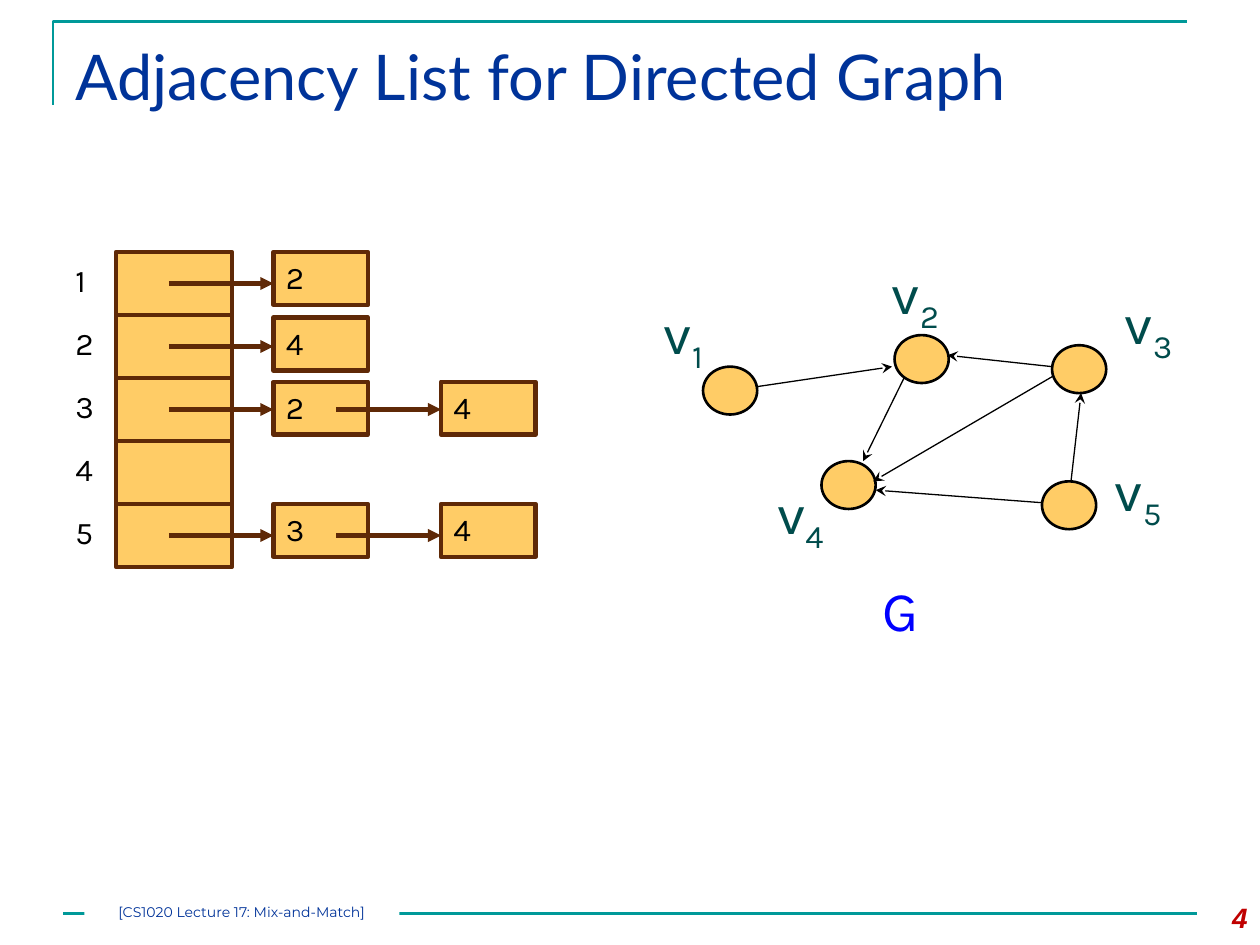
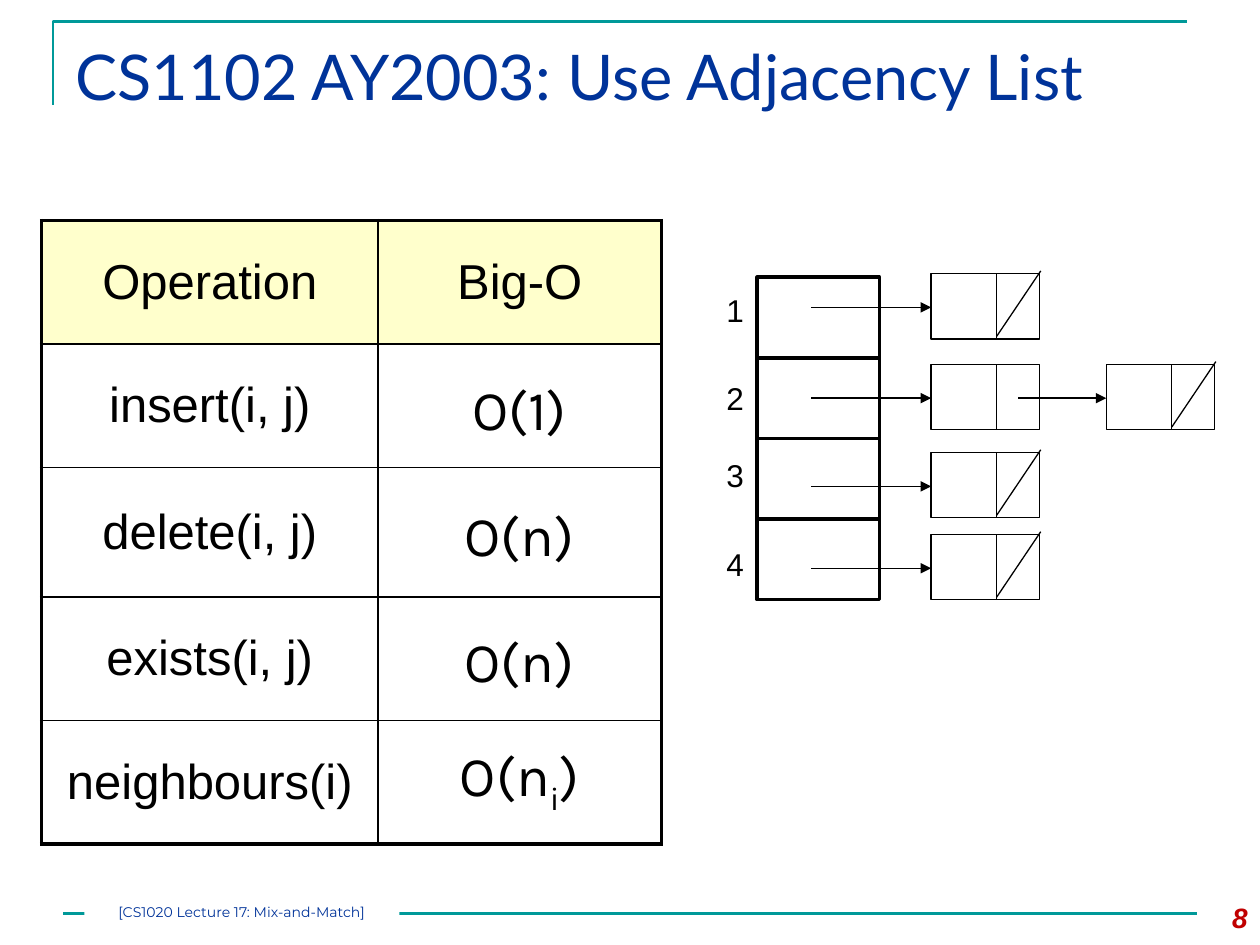
from lxml import etree
from pptx import Presentation
from pptx import util as u
from pptx.dml.color import RGBColor
from pptx.enum import shapes, text
from pptx.oxml.ns import qn

COLORS = {
    "teal": "009999", "navy": "003399", "red": "C00000", "white": "FFFFFF",
    "black": "000000", "amber": "FFCC66", "brown": "5F2907",
    "vertex": "004C4C", "blue": "0000FF", "cream": "FFFFCC",
}
FOOTER = "[CS1020 Lecture 17: Mix-and-Match]"
LEFT, CENTER, RIGHT = text.PP_ALIGN.LEFT, text.PP_ALIGN.CENTER, text.PP_ALIGN.RIGHT
RECTANGLE, OVAL = shapes.MSO_SHAPE.RECTANGLE, shapes.MSO_SHAPE.OVAL


def color(name):
    return RGBColor.from_string(COLORS[name])


def inches(*lengths):
    return [u.Inches(length) for length in lengths]


# Basic elements, measured in inches
def set_line(shape, name, width):
    shape.line.color.rgb = color(name)
    shape.line.width = u.Pt(width)


def add_box(slide, kind, place, fill=None, line=None, width=1.0):
    shape = slide.shapes.add_shape(kind, *inches(*place))
    shape.shadow.inherit = False
    if fill:
        shape.fill.solid()
        shape.fill.fore_color.rgb = color(fill)
    else:
        shape.fill.background()
    if line:
        set_line(shape, line, width)
    else:
        shape.line.fill.background()
    return shape


def add_line(slide, start, end, name="black", width=0.75, arrow=None):
    connector = slide.shapes.add_connector(
        shapes.MSO_CONNECTOR.STRAIGHT, *inches(*start, *end))
    set_line(connector, name, width)
    properties = connector._element.spPr
    etree.SubElement(properties, qn("a:effectLst"))
    if arrow:
        etree.SubElement(properties.find(qn("a:ln")), qn("a:tailEnd"), type=arrow)


def write(frame, wording, size, font, name, align=LEFT):
    """Write one paragraph; wording is a string or a list of (text, is_subscript)."""
    paragraph = frame.paragraphs[0]
    paragraph.alignment = align
    paragraph.font.size = u.Pt(size)
    paragraph.font.name = font
    paragraph.font.color.rgb = color(name)
    pieces = [(wording, False)] if isinstance(wording, str) else wording
    for piece, is_subscript in pieces:
        run = paragraph.add_run()
        run.text = piece
        if is_subscript:
            run._r.get_or_add_rPr().set("baseline", "-25000")
    return paragraph


def add_text(slide, place, wording, size, font, name, align=LEFT, wrap=True):
    frame = slide.shapes.add_textbox(*inches(*place)).text_frame
    frame.word_wrap = wrap
    return write(frame, wording, size, font, name, align)


# Frame shared by both slides
def add_slide(presentation, title, number):
    slide = presentation.slides.add_slide(presentation.slide_layouts[6])
    builder = slide.shapes.build_freeform(*inches(0.42, 0.83))
    builder.add_line_segments(
        [inches(0.42, 0.17), inches(9.42, 0.17)], close=False)
    corner = builder.convert_to_shape()
    corner.shadow.inherit = False
    corner.fill.background()
    set_line(corner, "teal", 1.5)

    add_line(slide, (0.5, 7.25), (9.5, 7.25), "teal", 1.5)
    add_text(slide, (0.5, 0.25, 9, 0.86), title, 36, "Lato", "navy")
    page = add_text(slide, (9.33, 7.1, 0.67, 0.4), number, 16, "Arial", "red", RIGHT)
    page.font.bold = page.font.italic = True

    footer = add_box(slide, RECTANGLE, (0.67, 7.17, 2.5, 0.17), fill="white").text_frame
    footer.margin_left = footer.margin_right = 0
    footer.margin_top = footer.margin_bottom = 0
    footer.vertical_anchor = text.MSO_ANCHOR.TOP
    write(footer, FOOTER, 8, "Montserrat", "navy", CENTER)
    return slide


# Directed graph
def add_graph(slide):
    vertices = {  # number: (circle corner, label corner)
        1: ((5.58, 2.91), (5.17, 2.32)),
        2: ((7.1, 2.66), (6.98, 2)),
        3: ((8.35, 2.74), (8.83, 2.24)),
        4: ((6.52, 3.66), (6.07, 3.75)),
        5: ((8.27, 3.82), (8.75, 3.57)),
    }
    edges = [
        ((6, 3.07), (7.08, 2.91)),
        ((7.18, 2.99), (6.85, 3.66)),
        ((8.35, 2.91), (7.52, 2.82)),
        ((8.35, 2.99), (6.93, 3.82)),
        ((8.27, 3.99), (6.95, 3.89)),
        ((8.5, 3.82), (8.58, 3.12)),
    ]
    for number, (circle, label) in vertices.items():
        add_box(slide, OVAL, (*circle, 0.43, 0.38), "amber", "black", 1.5)
        add_text(slide, (*label, 0.59, 0.64), [("v", False), (str(number), True)],
                 32, "Karla", "vertex", wrap=False)
    for start, end in edges:
        add_line(slide, start, end, arrow="stealth")
    add_text(slide, (6.91, 4.52, 0.5, 0.63), "G", 32, "Karla", "blue", wrap=False)


# Coloured adjacency list with numbered nodes
def add_numbered_list(slide):
    top, row_height = 2, 0.5
    rows = [(2, "2"), (2.52, "4"), (3.03, "24"), (3.5, ""), (4, "34")]
    for index in range(len(rows)):
        row_top = top + index * row_height
        add_box(slide, RECTANGLE, (0.92, row_top, 0.92, row_height),
                "amber", "brown", 2.5)
        add_text(slide, (0.5, row_top + 0.02, 0.42, 0.4), str(index + 1),
                 18, "Karla", "black")
    for index, (node_top, neighbours) in enumerate(rows):
        arrow_y = top + (index + 0.5) * row_height
        for column, neighbour in enumerate(neighbours):
            left = 2.17 + column * 1.33
            add_box(slide, RECTANGLE, (left, node_top, 0.75, 0.42),
                    "amber", "brown", 2.5)
            add_line(slide, (left - 0.83, arrow_y), (left, arrow_y),
                     "brown", 2.5, "triangle")
            add_text(slide, (left, node_top, 0.42, 0.4), neighbour,
                     18, "Karla", "black")


# Table of operations
def set_borders(cell, widths):
    properties = cell._tc.get_or_add_tcPr()
    for side, width in zip("LRTB", widths):
        line = etree.SubElement(properties, qn(f"a:ln{side}"), w=str(u.Pt(width)))
        fill = etree.SubElement(line, qn("a:solidFill"))
        etree.SubElement(fill, qn("a:srgbClr"), val=COLORS["black"])


def add_operations_table(slide):
    operations = ["Operation", "insert(i, j)", "delete(i, j)",
                  "exists(i, j)", "neighbours(i)"]
    heights = [0.98, 0.98, 1.03, 0.98, 0.98]
    outer, inner = 2.25, 1
    last = len(operations) - 1
    table = slide.shapes.add_table(
        len(operations), 2, *inches(0.33, 1.75, 4.92, 4.95)).table
    table.first_row = table.horz_banding = False
    table.columns[0].width, table.columns[1].width = inches(2.67, 2.25)
    for row, (operation, height) in enumerate(zip(operations, heights)):
        table.rows[row].height = u.Inches(height)
        for column, wording in enumerate([operation, "" if row else "Big-O"]):
            cell = table.cell(row, column)
            set_borders(cell, [
                outer if at_edge else inner
                for at_edge in (column == 0, column == 1, row == 0, row == last)])
            if row == 0:
                cell.fill.solid()
                cell.fill.fore_color.rgb = color("cream")
            else:
                cell.fill.background()
            cell.vertical_anchor = text.MSO_ANCHOR.MIDDLE
            if wording:
                write(cell.text_frame, wording, 28, "Arial", "black", CENTER)

    costs = [(2.92, "O(1)"), (3.92, "O(n)"), (4.92, "O(n)"),
             (5.83, [("O(n", False), ("i", True), (")", False)])]
    for top, cost in costs:
        add_text(slide, (3.25, top, 1.75, 0.63), cost, 32, "Karla", "black", CENTER)


# Plain adjacency list with linked nodes
def add_node(slide, left, arrow_y, is_last):
    top, divider = arrow_y - 0.27, left + 0.52
    add_box(slide, RECTANGLE, (left, top, 0.86, 0.52), "white", "black", 0.75)
    add_line(slide, (divider, top), (divider, top + 0.52))
    if is_last:
        add_line(slide, (left + 0.87, top - 0.02), (divider, top + 0.5))


def add_linked_list(slide):
    rows = [(2.44, 2.26, 1), (3.16, 2.96, 2), (3.86, 3.57, 1), (4.51, 4.28, 1)]
    node_lefts, arrow_starts = [7.39, 8.78], [6.44, 8.08]
    for index, (arrow_y, label_top, count) in enumerate(rows):
        add_box(slide, RECTANGLE, (6.01, 2.2 + index * 0.64, 0.97, 0.64),
                line="black", width=2)
        add_text(slide, (5.62, label_top, 0.43, 0.4), str(index + 1),
                 18, "Arial", "black", CENTER)
        for column in range(count):
            left = node_lefts[column]
            add_node(slide, left, arrow_y, column == count - 1)
            add_line(slide, (arrow_starts[column], arrow_y), (left, arrow_y),
                     arrow="triangle")


def main():
    presentation = Presentation()
    presentation.slide_width, presentation.slide_height = inches(10, 7.5)

    slide = add_slide(presentation, "Adjacency List for Directed Graph", "4")
    add_graph(slide)
    add_numbered_list(slide)

    slide = add_slide(presentation, "CS1102 AY2003: Use Adjacency List", "8")
    add_operations_table(slide)
    add_linked_list(slide)

    presentation.save("out.pptx")


if __name__ == "__main__":
    main()
